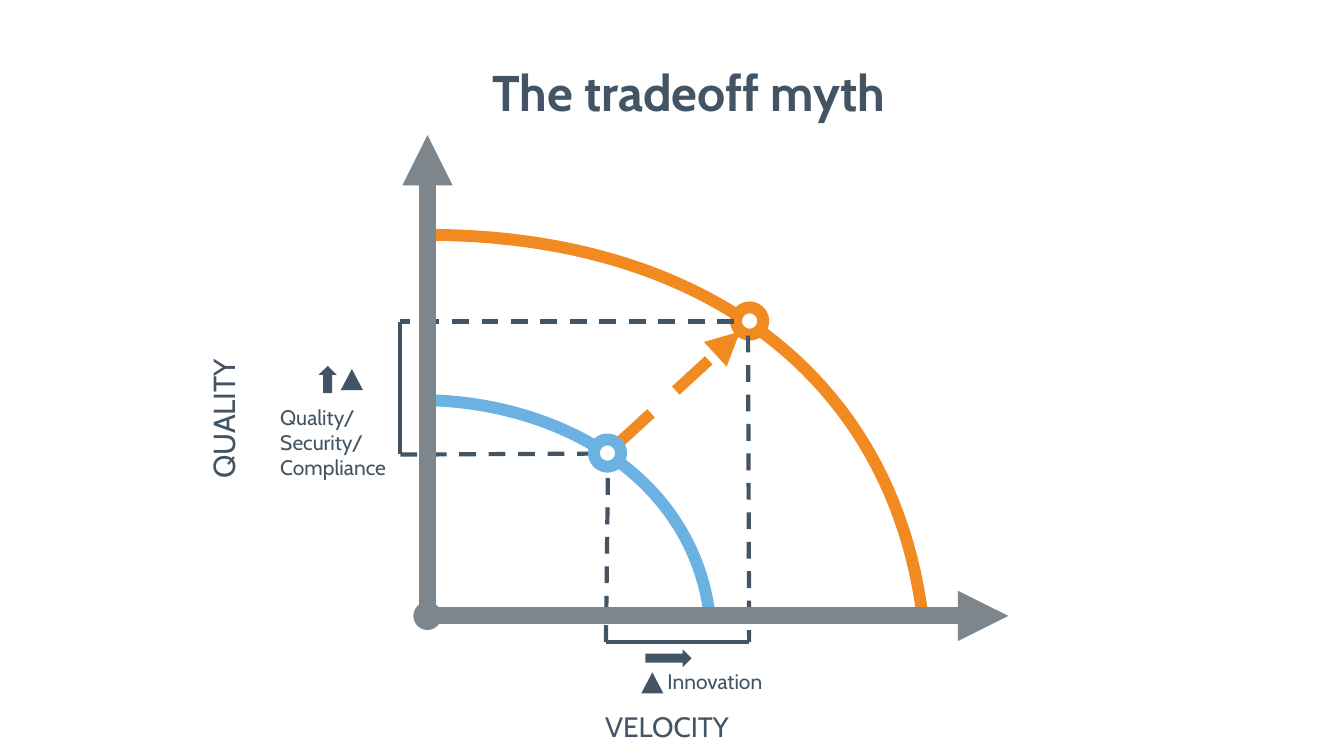
"""Build the slide "The tradeoff myth": two quality/velocity curves and the gain between them."""
from dataclasses import dataclass

from lxml import etree
from pptx import Presentation
from pptx.dml.color import RGBColor
from pptx.enum.dml import MSO_LINE
from pptx.enum.shapes import MSO_CONNECTOR, MSO_SHAPE
from pptx.enum.text import MSO_ANCHOR, PP_ALIGN
from pptx.oxml.ns import qn
from pptx.util import Inches, Pt

STRAIGHT = MSO_CONNECTOR.STRAIGHT
DASH = MSO_LINE.DASH
OVAL, TRIANGLE, UP_ARROW = MSO_SHAPE.OVAL, MSO_SHAPE.ISOSCELES_TRIANGLE, MSO_SHAPE.UP_ARROW
LEFT, CENTER = PP_ALIGN.LEFT, PP_ALIGN.CENTER
TOP, MIDDLE = MSO_ANCHOR.TOP, MSO_ANCHOR.MIDDLE

COLORS = {"slate": "435464", "orange": "F18B21", "blue": "6BB2E2", "gray": "7D868C", "white": "FFFFFF"}
FONT = "Cabin"
CURVE_WIDTH = 8.5
CURVE_STEPS = 48
Point = tuple[float, float]
Box = tuple[float, float, float, float]


@dataclass
class Line:
    start: Point
    end: Point
    color: str = "slate"
    width: float = 3
    dashed: bool = False
    arrow: bool = False


@dataclass
class Frontier:
    bezier: tuple[Point, Point, Point, Point]
    corner: Point
    color: str


@dataclass
class Mark:
    preset: MSO_SHAPE
    box: Box
    fill: str = "slate"
    outline: str | None = None
    rotation: float = 0


@dataclass
class Label:
    text: str
    box: Box
    size: float
    align: PP_ALIGN = LEFT
    anchor: MSO_ANCHOR = TOP
    bold: bool = False
    rotation: float = 0
    spacing: float | None = None
    insets: Point = (0.08, 0.04)


def rgb(name: str) -> RGBColor:
    return RGBColor.from_string(COLORS[name])


def apply(target, values: dict) -> None:
    for name, value in values.items():
        setattr(target, name, value)


def draw_line(shapes, line: Line) -> None:
    connector = shapes.add_connector(STRAIGHT, *map(Inches, line.start + line.end))
    connector.line.color.rgb = rgb(line.color)
    connector.line.width = Pt(line.width)
    if line.dashed:
        connector.line.dash_style = DASH
    properties = connector._element.spPr
    if line.arrow:
        etree.SubElement(properties.find(qn("a:ln")), qn("a:tailEnd"), type="triangle")
    etree.SubElement(properties, qn("a:effectLst"))


def bezier_point(points: tuple[Point, ...], t: float) -> Point:
    weights = ((1 - t) ** 3, 3 * t * (1 - t) ** 2, 3 * t ** 2 * (1 - t), t ** 3)
    x, y = (sum(w * p[axis] for w, p in zip(weights, points)) for axis in (0, 1))
    return x, y


def draw_frontier(shapes, frontier: Frontier) -> None:
    outline = [bezier_point(frontier.bezier, step / CURVE_STEPS) for step in range(CURVE_STEPS + 1)]
    start, *rest = [(Inches(x), Inches(y)) for x, y in outline + [frontier.corner]]
    builder = shapes.build_freeform(*start, scale=1.0)
    builder.add_line_segments(rest, close=True)
    curve = builder.convert_to_shape()
    curve.shadow.inherit = False
    curve.fill.background()
    curve.line.color.rgb = rgb(frontier.color)
    curve.line.width = Pt(CURVE_WIDTH)


def draw_mark(shapes, mark: Mark) -> None:
    shape = shapes.add_shape(mark.preset, *map(Inches, mark.box))
    shape.shadow.inherit = False
    shape.rotation = mark.rotation
    shape.fill.solid()
    shape.fill.fore_color.rgb = rgb(mark.fill)
    if mark.outline:
        shape.line.color.rgb = rgb(mark.outline)
        shape.line.width = Pt(CURVE_WIDTH)
    else:
        shape.line.fill.background()


def draw_label(shapes, label: Label) -> None:
    box = shapes.add_textbox(*map(Inches, label.box))
    box.rotation = label.rotation
    across, down = map(Inches, label.insets)
    apply(box.text_frame, {
        "word_wrap": True, "vertical_anchor": label.anchor,
        "margin_left": across, "margin_right": across, "margin_top": down, "margin_bottom": down,
    })
    box.text_frame.text = label.text
    for paragraph in box.text_frame.paragraphs:
        apply(paragraph, {"alignment": label.align, "line_spacing": label.spacing})
        for run in paragraph.runs:
            apply(run.font, {"name": FONT, "size": Pt(label.size), "bold": label.bold})
            run.font.color.rgb = rgb("slate")


DRAW = {Line: draw_line, Frontier: draw_frontier, Mark: draw_mark, Label: draw_label}

ORIGIN = (4.24, 6.11)
BRACKET_X, BRACKET_Y = 3.97, 6.37
SLOW, FAST = 6.01, 7.43
HIGH, LOW = 3.19, 4.5

ELEMENTS = [
    Line((6.13, 4.4), (7.34, 3.29), "orange", 8, dashed=True, arrow=True),
    Frontier(((4.24, 2.33), (6.93, 2.33), (8.84, 3.7), (9.15, 6.11)), ORIGIN, "orange"),
    Mark(OVAL, (7.3, 3.05, 0.27, 0.27), "white", "orange"),
    Label("QUALITY", (0.12, 3.93, 4.19, 0.45), 21.7, CENTER, rotation=270),
    Label("VELOCITY", (4.12, 7, 4.99, 0.42), 20, CENTER),
    Line((7.42, 3.33), (FAST, BRACKET_Y), dashed=True),
    Line((SLOW, BRACKET_Y), (6.03, 4.63), dashed=True),
    Line((SLOW, BRACKET_Y), (FAST, BRACKET_Y)),
    Label("Innovation", (6.54, 6.59, 1.63, 0.34), 15),
    Mark(UP_ARROW, (6.54, 6.3, 0.18, 0.46), rotation=90),
    Mark(TRIANGLE, (6.36, 6.67, 0.22, 0.21)),
    Line((7.28, HIGH), (BRACKET_X, HIGH), dashed=True),
    Line((5.89, LOW), (BRACKET_X, 4.51), dashed=True),
    Line((BRACKET_X, HIGH), (BRACKET_X, LOW)),
    Label("Quality/\nSecurity/\nCompliance", (2.7, 3.97, 1.34, 0.87), 15),
    Mark(UP_ARROW, (3.16, 3.63, 0.18, 0.27)),
    Mark(TRIANGLE, (3.38, 3.66, 0.22, 0.21)),
    Frontier(((4.24, 3.97), (5.56, 4), (6.87, 4.73), (7.04, 6.11)), ORIGIN, "blue"),
    Mark(OVAL, (5.89, 4.36, 0.27, 0.27), "white", "blue"),
    Line((4.22, 6.11), (10, 6.11), "gray", 12, arrow=True),
    Line(ORIGIN, (4.24, 1.34), "gray", 12, arrow=True),
    Mark(OVAL, (4.1, 5.97, 0.28, 0.28), "gray"),
    Label("The tradeoff myth", (0.72, 0.67, 12.22, 0.56), 35.8, CENTER, MIDDLE,
          bold=True, spacing=0.9, insets=(0.07, 0.07)),
]


def main() -> None:
    presentation = Presentation()
    apply(presentation, {"slide_width": Inches(13.33), "slide_height": Inches(7.5)})
    slide = presentation.slides.add_slide(presentation.slide_layouts[6])
    for element in ELEMENTS:
        DRAW[type(element)](slide.shapes, element)
    presentation.save("out.pptx")


if __name__ == "__main__":
    main()
